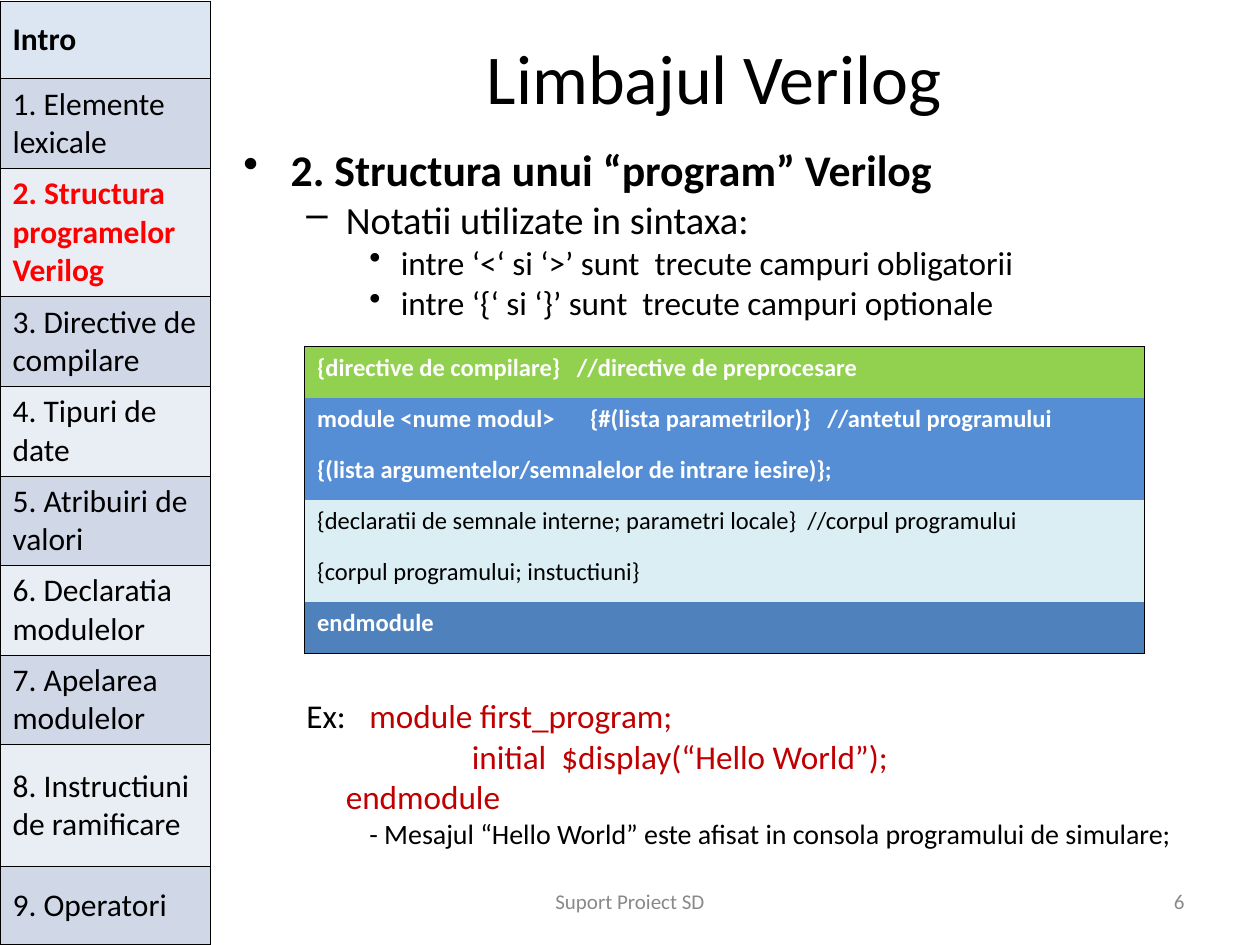
from dataclasses import dataclass
from typing import Optional

import pptx
import pptx.dml.color
import pptx.enum.text
import pptx.oxml
import pptx.oxml.ns
import pptx.util

SLIDE_WIDTH, SLIDE_HEIGHT = pptx.util.Inches(10), pptx.util.Inches(7.5)
GRID_COLUMNS = 120  # square cells, so the slide is 90 rows high
UNIT = SLIDE_WIDTH / GRID_COLUMNS
FONT = "Calibri"
BLACK, WHITE, GREY, RED, CODE_RED = "000000", "FFFFFF", "898989", "FF0000", "C00000"
BORDER_WIDTH = pptx.util.Pt(0.45)
ALIGN = pptx.enum.text.PP_ALIGN
ANCHOR = pptx.enum.text.MSO_ANCHOR


@dataclass
class Run:
    text: str
    size: float
    color: str = BLACK
    bold: bool = False


@dataclass
class Line:
    """A paragraph; margin and indent are in grid columns."""
    runs: list[Run]
    margin: float = 0
    indent: float = 0
    space_before: float = 0
    bullet: Optional[str] = None
    align: ALIGN = ALIGN.LEFT
    spacing: float = 1.0


@dataclass
class Box:
    """A place on the grid, in columns and rows."""
    left: float
    top: float
    width: float
    height: float


@dataclass
class TableRow:
    texts: list[str]
    fill: str
    height: float
    color: str = BLACK
    bold: bool = False


def grid(cells: float) -> int:
    return pptx.util.Emu(round(cells * UNIT))


def rgb(color: str) -> pptx.dml.color.RGBColor:
    return pptx.dml.color.RGBColor.from_string(color)


def write_line(paragraph, line: Line) -> None:
    properties = paragraph._p.get_or_add_pPr()
    properties.set("marL", str(grid(line.margin)))
    properties.set("indent", str(grid(line.indent)))
    paragraph.alignment = line.align
    paragraph.line_spacing = line.spacing
    paragraph.space_before = pptx.util.Pt(line.space_before)
    if line.bullet:
        bullet = pptx.oxml.parse_xml(
            f'<a:buChar {pptx.oxml.ns.nsdecls("a")} char="{line.bullet}"/>')
        properties.append(bullet)
    for item in line.runs:
        run = paragraph.add_run()
        run.text = item.text
        run.font.name = FONT
        run.font.size = pptx.util.Pt(item.size)
        run.font.bold = item.bold
        run.font.color.rgb = rgb(item.color)


def add_text(slide, box: Box, lines: list[Line], anchor: ANCHOR = ANCHOR.TOP) -> None:
    shape = slide.shapes.add_textbox(
        grid(box.left), grid(box.top), grid(box.width), grid(box.height))
    frame = shape.text_frame
    frame.word_wrap = True
    frame.vertical_anchor = anchor
    for index, line in enumerate(lines):
        paragraph = frame.add_paragraph() if index else frame.paragraphs[0]
        write_line(paragraph, line)


def set_borders(cell, sides: str) -> None:
    """Draw the sides named by the letters L, R, T and B, and clear the others."""
    properties = cell._tc.get_or_add_tcPr()
    for side in "LRTB":
        paint = (f'<a:solidFill><a:srgbClr val="{BLACK}"/></a:solidFill>'
                 if side in sides else "<a:noFill/>")
        properties.append(pptx.oxml.parse_xml(
            f'<a:ln{side} {pptx.oxml.ns.nsdecls("a")} w="{BORDER_WIDTH}">{paint}</a:ln{side}>'))


def add_table(slide, left: float, top: float, widths: list[float], rows: list[TableRow],
              size: float, anchor: ANCHOR, row_rules: bool) -> None:
    """A row with fewer texts than columns is merged into one cell."""
    height = sum(row.height for row in rows)
    table = slide.shapes.add_table(len(rows), len(widths), grid(left), grid(top),
                                   grid(sum(widths)), grid(height)).table
    table.first_row = table.horz_banding = False
    for column, width in zip(table.columns, widths):
        column.width = grid(width)
    last_row, last_column = len(rows) - 1, len(widths) - 1
    for row_index, row in enumerate(rows):
        table.rows[row_index].height = grid(row.height)
        for column_index in range(len(widths)):
            cell = table.cell(row_index, column_index)
            merged = len(row.texts) < len(widths)
            sides = ("L" if column_index == 0 else "")
            sides += "R" if merged or column_index == last_column else ""
            sides += "T" if row_rules or row_index == 0 else ""
            sides += "B" if row_rules or row_index == last_row else ""
            set_borders(cell, sides)
            cell.fill.solid()
            cell.fill.fore_color.rgb = rgb(row.fill)
            cell.vertical_anchor = anchor
        if len(row.texts) < len(widths):
            table.cell(row_index, 0).merge(table.cell(row_index, last_column))
        for column_index, text in enumerate(row.texts):
            paragraph = table.cell(row_index, column_index).text_frame.paragraphs[0]
            write_line(paragraph, Line([Run(text, size, row.color, row.bold)]))


def add_navigation(slide) -> None:
    dark, light = "D0D8E8", "E9EDF4"
    short, normal = 7.4, 8.53
    rows = [
        TableRow(["Intro"], "DCE6F2", short, bold=True),
        TableRow(["1. Elemente lexicale"], dark, normal),
        TableRow(["2. Structura programelor Verilog"], light, 12.25, RED, True),
        TableRow(["3. Directive de compilare"], dark, normal),
        TableRow(["4. Tipuri de date"], light, normal),
        TableRow(["5. Atribuiri de valori"], dark, normal),
        TableRow(["6. Declaratia modulelor"], light, normal),
        TableRow(["7. Apelarea modulelor"], dark, normal),
        TableRow(["8. Instructiuni de ramificare"], light, 11.65),
        TableRow(["9. Operatori"], dark, short),
    ]
    add_table(slide, 0, 0.1, [20], rows, 18, ANCHOR.MIDDLE, row_rules=True)


def add_syntax(slide) -> None:
    green, blue, pale, deep_blue = "92D050", "558ED5", "DBEEF4", "4F81BD"
    height = 4.87
    rows = [
        TableRow(["{directive de compilare}   //directive de preprocesare"],
                 green, height, WHITE, True),
        TableRow(["module <nume modul>", "{#(lista parametrilor)}   //antetul programului"],
                 blue, height, WHITE, True),
        TableRow(["{(lista argumentelor/semnalelor de intrare iesire)};"],
                 blue, height, WHITE, True),
        TableRow(["{declaratii de semnale interne; parametri locale}  //corpul programului"],
                 pale, height),
        TableRow(["{corpul programului; instuctiuni}"], pale, height),
        TableRow(["endmodule"], deep_blue, height, WHITE, True),
    ]
    add_table(slide, 29, 33, [26, 54], rows, 14, ANCHOR.TOP, row_rules=False)


def main() -> None:
    presentation = pptx.Presentation()
    presentation.slide_width, presentation.slide_height = SLIDE_WIDTH, SLIDE_HEIGHT
    slide = presentation.slides.add_slide(presentation.slide_layouts[6])
    tight = 0.8

    add_text(slide, Box(22, 3.6, 92, 7.4),
             [Line([Run("Limbajul Verilog", 40)], align=ALIGN.CENTER)], ANCHOR.MIDDLE)
    notation = ["intre ‘<‘ si ‘>’ sunt  trecute campuri obligatorii",
                "intre ‘{‘ si ‘}’ sunt  trecute campuri optionale"]
    add_text(slide, Box(22, 14, 92, 18), [
        Line([Run("2. Structura unui “program” Verilog", 25, bold=True)],
             4.5, -4.5, bullet="•", spacing=tight),
        Line([Run("Notatii utilizate in sintaxa:", 22)], 9.75, -3.75, 5.5, "–", spacing=tight),
        *[Line([Run(text, 19)], 15, -3, 4.8, "•", spacing=tight) for text in notation],
    ])
    add_text(slide, Box(22, 66.4, 92, 16.6), [
        Line([Run("Ex:\t", 19), Run("module first_program;", 19, CODE_RED)],
             12, -6, spacing=tight),
        Line([Run("initial  $display(“Hello World”);", 19, CODE_RED)],
             21.75, space_before=4.8, spacing=tight),
        Line([Run("endmodule", 19, CODE_RED)], 9.75, space_before=4.8, spacing=tight),
        Line([Run("- Mesajul “Hello World” este afisat in consola programului de simulare;", 16)],
             15, -3, 4, spacing=tight),
    ])
    add_text(slide, Box(41, 83.4, 38, 4.8),
             [Line([Run("Suport Proiect SD", 12, GREY)], align=ALIGN.CENTER)], ANCHOR.MIDDLE)
    add_text(slide, Box(86, 83.4, 28, 4.8),
             [Line([Run("6", 12, GREY)], align=ALIGN.RIGHT)], ANCHOR.MIDDLE)
    add_syntax(slide)
    add_navigation(slide)
    presentation.save("out.pptx")


if __name__ == "__main__":
    main()
